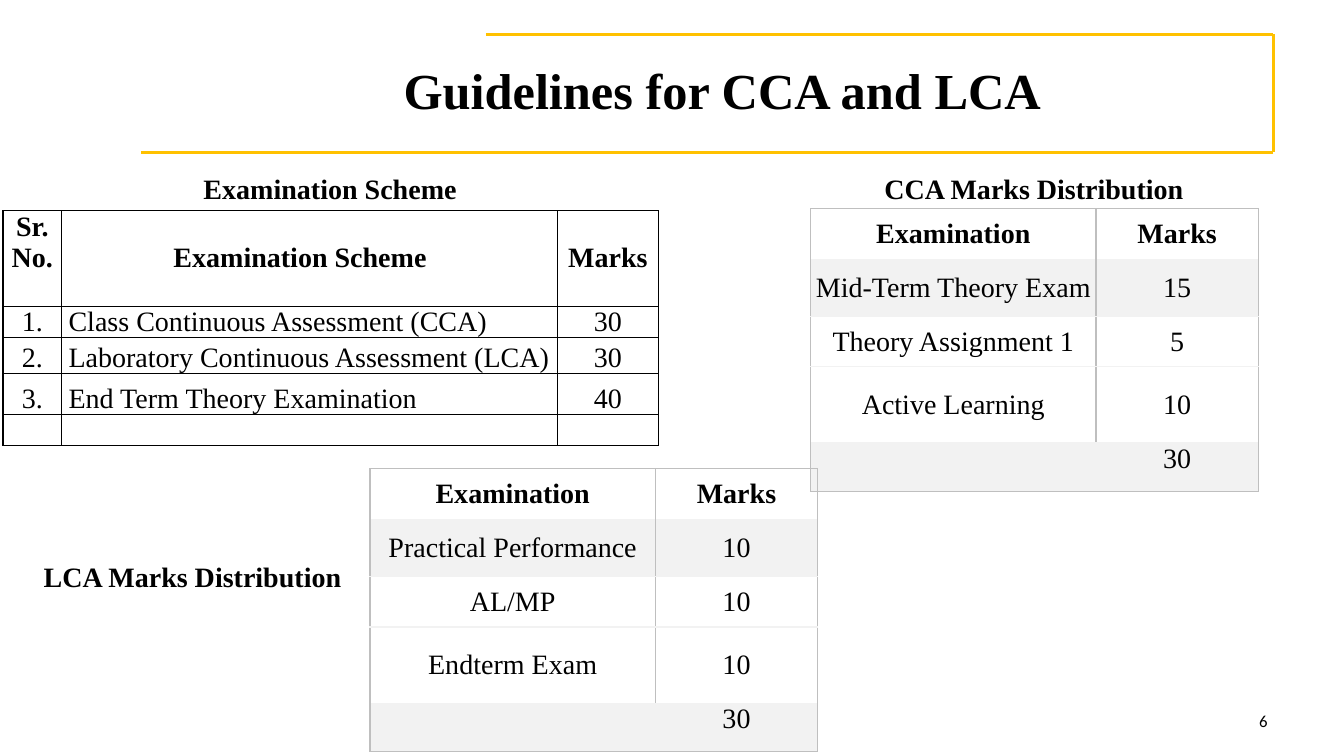
import pptx
import pptx.dml.color
import pptx.enum.text
import pptx.oxml
import pptx.oxml.ns
import pptx.util
from lxml import etree

Inches, Pt = pptx.util.Inches, pptx.util.Pt
ALIGN, ANCHOR = pptx.enum.text.PP_ALIGN, pptx.enum.text.MSO_ANCHOR
qn = pptx.oxml.ns.qn
SERIF = "Times New Roman"
BLACK, GOLD, GREY, PALE = "000000", "FFC100", "BFBFBF", "F2F2F2"
NO_GRID_STYLE = "{2D5ABB26-0587-4C30-8999-92F81FD0307C}"


def rgb(hex_colour):
    return pptx.dml.color.RGBColor.from_string(hex_colour)


def fill_cell(cell, text, bold, align, anchor, indent, fill, borders):
    """Write one table cell; borders maps L, R, T, B to a colour."""
    cell.margin_left = cell.margin_right = cell.margin_top = cell.margin_bottom = 0
    cell.vertical_anchor = anchor
    paragraph = cell.text_frame.paragraphs[0]
    paragraph.alignment = align
    if text:
        paragraph.text = text
        font = paragraph.runs[0].font
        font.name, font.size, font.bold = SERIF, Pt(20), bold
        font.color.rgb = rgb(BLACK)
        if indent:
            paragraph._p.get_or_add_pPr().set("marL", str(Inches(indent)))
    else:
        paragraph._p.get_or_add_endParaRPr().set("sz", "800")
    properties = cell._tc.get_or_add_tcPr()
    for side in "LRTB":
        if side in borders:
            border = etree.SubElement(properties, qn(f"a:ln{side}"), w=str(Pt(1)))
            solid = etree.SubElement(border, qn("a:solidFill"))
            etree.SubElement(solid, qn("a:srgbClr"), val=borders[side])
    if fill:
        cell.fill.solid()
        cell.fill.fore_color.rgb = rgb(fill)
    else:
        cell.fill.background()


prs = pptx.Presentation()
prs.slide_width, prs.slide_height = Inches(13.33), Inches(7.5)
slide = prs.slides.add_slide(prs.slide_layouts[6])
shapes = slide.shapes

# Title frame
frame_corners = [(4.82, 0.34), (12.63, 0.34), (12.63, 1.51), (1.4, 1.51)]
for start, end in zip(frame_corners, frame_corners[1:]):
    edge = shapes.add_connector(1, *map(Inches, start + end))
    edge.line.color.rgb = rgb(GOLD)
    edge.line.width = Pt(2)
    etree.SubElement(edge._element.spPr, qn("a:effectLst"))

# Tables: left, top, column widths, row heights, rows of text
scheme = (0.03, 2.09, [0.58, 4.92, 1], [0.62, 0.33, 0.3, 0.36, 0.4, 0.31], [
    ["Sr. No.", "Examination Scheme", "Marks"],
    ["", "", ""],
    ["1.", "Class Continuous Assessment (CCA)", "30"],
    ["2.", "Laboratory Continuous Assessment (LCA)", "30"],
    ["3.", "End Term Theory Examination", "40"],
    ["", "", ""],
])
marks_columns, marks_rows = [2.83, 1.61], [0.5, 0.57, 0.5, 0.75, 0.32, 0.17]
marks_head, marks_total = ["Examination", "Marks"], [["", "30"], ["", ""]]
cca = (8.04, 2.07, marks_columns, marks_rows, [
    marks_head,
    ["Mid-Term Theory Exam", "15"],
    ["Theory Assignment 1", "5"],
    ["Active Learning", "10"],
] + marks_total)
lca = (3.67, 4.65, marks_columns, marks_rows, [
    marks_head,
    ["Practical Performance", "10"],
    ["AL/MP", "10"],
    ["Endterm Exam", "10"],
] + marks_total)

for left, top, widths, heights, texts in (scheme, cca, lca):
    table = shapes.add_table(
        len(heights), len(widths), Inches(left), Inches(top),
        Inches(sum(widths)), Inches(sum(heights))).table
    table.first_row = table.horz_banding = False
    table._tbl.tblPr.find(qn("a:tableStyleId")).text = NO_GRID_STYLE
    for column, width in zip(table.columns, widths):
        column.width = Inches(width)
    for row, height in zip(table.rows, heights):
        row.height = Inches(height)
    is_scheme = len(widths) == 3
    for r, row_texts in enumerate(texts):
        for c, text in enumerate(row_texts):
            align, indent, fill = ALIGN.CENTER, 0, None
            if is_scheme:
                anchor = ANCHOR.BOTTOM
                borders = {"L": BLACK, "R": BLACK, "B" if r % 2 else "T": BLACK}
                if c == 1:
                    align, indent = ALIGN.LEFT, 0.07 if r else 1.11
            else:
                anchor = ANCHOR.BOTTOM if r == 4 else ANCHOR.MIDDLE
                borders = {"L": GREY, "R": GREY}
                borders.update({0: {"T": GREY}, 1: {"B": PALE},
                                2: {"T": PALE}, 5: {"B": GREY}}.get(r, {}))
                if r in (1, 4, 5):
                    fill = PALE
                if r >= 4:
                    borders["L" if c else "R"] = PALE
            fill_cell(table.cell(r, c), text, r == 0, align, anchor, indent, fill, borders)

# Title, table headings and page number
labels = [
    ("Guidelines for CCA and LCA", 1.75, 0.33, 10.83, 1.12, 36, True, SERIF, ALIGN.CENTER, True),
    ("CCA Marks Distribution", 8.66, 1.65, 3.19, 0.44, 20, True, SERIF, ALIGN.CENTER, False),
    ("Examination Scheme", 1.91, 1.65, 2.73, 0.44, 20, True, SERIF, ALIGN.CENTER, False),
    ("LCA Marks Distribution", 0.32, 5.5, 3.18, 0.44, 20, True, SERIF, ALIGN.CENTER, False),
    ("6", 9.56, 6.95, 3.11, 0.4, 12, False, "Calibri", ALIGN.RIGHT, True),
]
for text, left, top, width, height, size, bold, face, align, wrap in labels:
    label = shapes.add_textbox(Inches(left), Inches(top), Inches(width), Inches(height)).text_frame
    label.word_wrap = wrap
    label.vertical_anchor = ANCHOR.MIDDLE if wrap else ANCHOR.TOP
    label.text = text
    label.paragraphs[0].alignment = align
    font = label.paragraphs[0].runs[0].font
    font.name, font.size, font.bold = face, Pt(size), bold
    font.color.rgb = rgb(BLACK)

prs.save("out.pptx")
